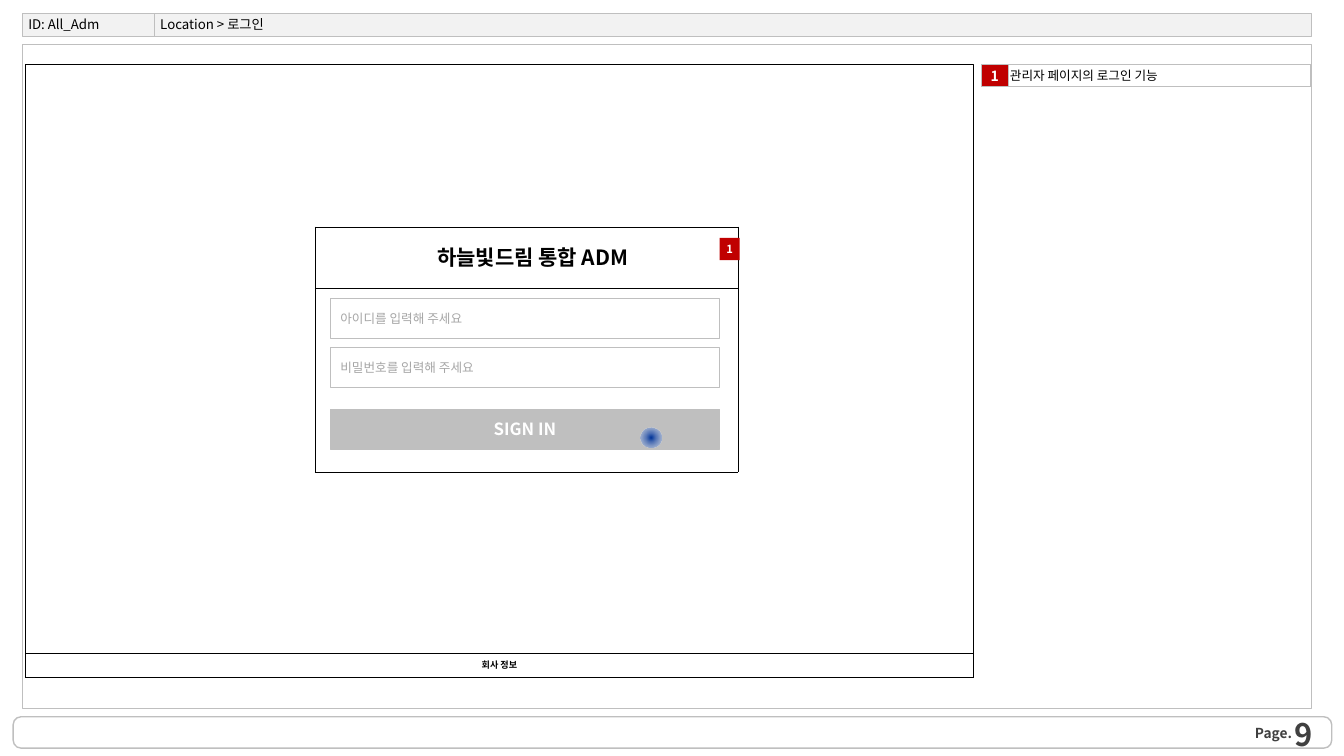
from dataclasses import dataclass
from typing import Any, Optional

from lxml.etree import SubElement
from pptx import Presentation
from pptx.dml.color import RGBColor
from pptx.enum.shapes import MSO_SHAPE
from pptx.enum.text import MSO_ANCHOR, PP_ALIGN
from pptx.oxml import parse_xml
from pptx.oxml.ns import nsdecls, qn
from pptx.util import Pt

FACE = "Noto Sans CJK KR"
GREY, RED, BLACK, WHITE = "BFBFBF", "C00000", "000000", "FFFFFF"
DARK, PALE, HINT = "404040", "F2F2F2", "A6A6A6"
LEFT, MID, RIGHT = PP_ALIGN.LEFT, PP_ALIGN.CENTER, PP_ALIGN.RIGHT
RECT, ROUND = MSO_SHAPE.RECTANGLE, MSO_SHAPE.ROUNDED_RECTANGLE


@dataclass
class Label:
    text: str
    size: float
    tint: str = BLACK
    bold: bool = False
    align: Any = LEFT
    inset: float = 7.2
    wrap: bool = True


@dataclass
class Box:
    at: tuple[float, float, float, float]
    fill: Optional[str] = None
    line: Optional[str] = None
    width: float = 0.25
    label: Optional[Label] = None
    kind: Any = RECT


@dataclass
class Grid:
    at: tuple[float, float]
    cols: list[float]
    rows: list[float]
    line: str
    fills: list[str]
    labels: list[Label]


def apply(item: Any, form: dict[str, Any]) -> None:
    for name, value in form.items():
        setattr(item, name, value)


def paint(fill: Any, tint: Optional[str]) -> None:
    if tint is None:
        fill.background()
    else:
        fill.solid()
        fill.fore_color.rgb = RGBColor.from_string(tint)


def write(frame: Any, label: Label) -> None:
    para = frame.paragraphs[0]
    para.alignment = label.align
    run = para.add_run()
    run.text = label.text
    apply(run.font, {"name": FACE, "size": Pt(label.size), "bold": label.bold})
    paint(run.font.fill, label.tint)
    SubElement(run.font._element, qn("a:ea"), typeface=FACE)


def set_text(shape: Any, label: Label) -> None:
    side = Pt(label.inset)
    apply(shape.text_frame, {
        "word_wrap": label.wrap, "vertical_anchor": MSO_ANCHOR.MIDDLE,
        "margin_left": side, "margin_right": side,
        "margin_top": 0, "margin_bottom": 0,
    })
    write(shape.text_frame, label)


def add_box(slide: Any, box: Box) -> Any:
    place = [Pt(n) for n in box.at]
    if box.fill or box.line:
        shape = slide.shapes.add_shape(box.kind, *place)
        shape.shadow.inherit = False
        paint(shape.fill, box.fill)
        paint(shape.line.fill, box.line)
        if box.line:
            shape.line.width = Pt(box.width)
        if box.kind == ROUND:
            shape.adjustments[0] = 0.25
    else:
        shape = slide.shapes.add_textbox(*place)
    if box.label:
        set_text(shape, box.label)
    return shape


def add_edge(cell: Any, tint: str) -> None:
    props = cell._tc.get_or_add_tcPr()
    for spot, side in enumerate("LRTB"):
        props.insert(spot, parse_xml(
            f'<a:ln{side} {nsdecls("a")} w="3175"><a:solidFill>'
            f'<a:srgbClr val="{tint}"/></a:solidFill></a:ln{side}>'))


def add_grid(slide: Any, grid: Grid) -> None:
    place = [Pt(n) for n in (*grid.at, sum(grid.cols), sum(grid.rows))]
    table = slide.shapes.add_table(len(grid.rows), len(grid.cols), *place).table
    apply(table, {"first_row": False, "horz_banding": False})
    for col, width in zip(table.columns, grid.cols):
        col.width = Pt(width)
    for row, height in zip(table.rows, grid.rows):
        row.height = Pt(height)
    for cell, fill in zip(table.iter_cells(), grid.fills):
        paint(cell.fill, fill)
        add_edge(cell, grid.line)
    for cell, label in zip(table.iter_cells(), grid.labels):
        side = Pt(label.inset)
        apply(cell, {
            "vertical_anchor": MSO_ANCHOR.MIDDLE, "margin_left": side,
            "margin_right": side, "margin_top": 0, "margin_bottom": 0,
        })
        write(cell.text_frame, label)


def add_title(slide: Any, box: Box) -> None:
    title = slide.shapes.title
    names = ("left", "top", "width", "height")
    apply(title, dict(zip(names, map(Pt, box.at))))
    set_text(title, box.label)
    title._element.getparent().append(title._element)


def add_glow(slide: Any) -> None:
    dot = add_box(slide, Box((457.2, 305.3, 15.2, 14.4), WHITE, kind=MSO_SHAPE.OVAL))
    solid = dot._element.spPr.find(qn("a:solidFill"))
    solid.getparent().replace(solid, parse_xml(
        f'<a:gradFill {nsdecls("a")}><a:gsLst>'
        '<a:gs pos="0"><a:srgbClr val="003399"/></a:gs>'
        '<a:gs pos="100000"><a:srgbClr val="C2D1ED"><a:alpha val="50000"/>'
        '</a:srgbClr></a:gs></a:gsLst><a:path path="circle"><a:fillToRect '
        'l="50000" t="50000" r="50000" b="50000"/></a:path></a:gradFill>'))


FRAME = [
    Box((9.4, 512, 941.8, 22.4), line=GREY, width=1, kind=ROUND),
    Box((15.8, 31.7, 920.9, 474.5), line=GREY),
    Box((110.2, 9.4, 826.5, 16.8), PALE, GREY),
    Box((15.8, 9.4, 94.4, 16.8), PALE, GREY),
    Box((896.4, 517.7, 40.3, 12.2),
        label=Label("Page.", 9.8, DARK, True, inset=0, wrap=False)),
    Box((720.7, 518.4, 224, 11.5), label=Label("9", 22.1, DARK, True, RIGHT)),
    Box((18, 45.6, 677.5, 437.8), line=BLACK),
    Box((18, 466.6, 677.5, 16.8), line=BLACK,
        label=Label("회사 정보", 6.5, bold=True, align=MID)),
    Box((110.9, 7.2, 585.4, 20.2), label=Label("Location > 로그인", 9.5, inset=3.6)),
    Box((16.6, 7.2, 94.4, 20.2), label=Label("ID: All_Adm", 9.5, inset=3.6)),
]
GRIDS = [
    Grid((225, 162), [302], [44, 131], BLACK, [WHITE] * 2, []),
    Grid((701, 46), [19, 216], [15.5], GREY, [RED, WHITE],
         [Label("1", 10, WHITE, True, MID, 1.4),
          Label("관리자 페이지의 로그인 기능", 9, inset=1.4)]),
]
HEAD = Box((253, 170, 255, 28),
           label=Label("하늘빛드림 통합 ADM", 15, bold=True, align=MID))
FIELDS = [
    (213, None, Label("아이디를 입력해 주세요", 9, HINT)),
    (248, None, Label("비밀번호를 입력해 주세요", 9, HINT)),
    (292.3, GREY, Label("SIGN IN", 12, WHITE, True, MID)),
]
BADGE = Box((514, 170, 14.4, 15.8), RED,
            label=Label("1", 8, WHITE, True, MID, 0))


def main() -> None:
    deck = Presentation()
    apply(deck, {"slide_width": Pt(960), "slide_height": Pt(540)})
    slide = deck.slides.add_slide(deck.slide_layouts[5])
    for box in FRAME:
        add_box(slide, box)
    for grid in GRIDS:
        add_grid(slide, grid)
    add_title(slide, HEAD)
    for top, fill, label in FIELDS:
        add_box(slide, Box((236, top, 278, 28.5), fill, GREY, 0.5, label))
    add_box(slide, BADGE)
    add_glow(slide)
    deck.save("out.pptx")


if __name__ == "__main__":
    main()
